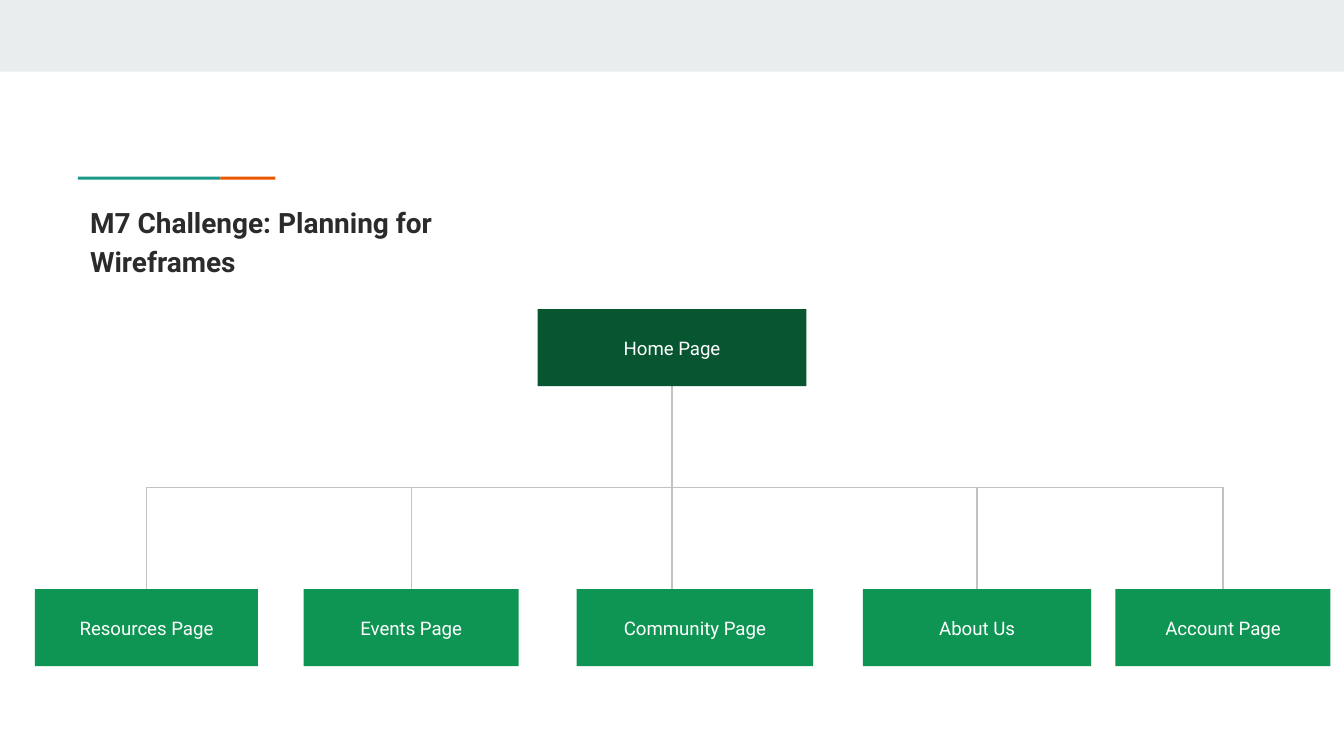
from dataclasses import dataclass

from lxml import etree
from pptx import Presentation
from pptx.dml.color import RGBColor
from pptx.enum.shapes import MSO_CONNECTOR, MSO_SHAPE
from pptx.enum.text import MSO_ANCHOR, MSO_AUTO_SIZE, PP_ALIGN
from pptx.oxml.ns import qn
from pptx.util import Inches, Pt

RECT = MSO_SHAPE.RECTANGLE
LINE, ELBOW = MSO_CONNECTOR.STRAIGHT, MSO_CONNECTOR.ELBOW
LEFT, MID = PP_ALIGN.LEFT, PP_ALIGN.CENTER
TOP, CENTER = MSO_ANCHOR.TOP, MSO_ANCHOR.MIDDLE


@dataclass(frozen=True)
class Theme:
    font: str = "Roboto"
    band: str = "E9EDEE"
    teal: str = "1A9988"
    orange: str = "EB5600"
    root: str = "085631"
    page: str = "0E9453"
    wire: str = "C2C2C2"
    ink: str = "2B2B2B"
    white: str = "FFFFFF"
    head: float = 15
    label: float = 10
    rule: float = 0.75


THEME = Theme()

# Grid: 100 columns by 56.25 rows (16:9), each a tenth of an inch
COLS, ROWS = 100, 56.25
BOX_H = 5.73
ROOT_X, ROOT_Y, ROOT_W = 40, 23, 20
PAGE_Y = 43.84
BUS_Y = (ROOT_Y + BOX_H + PAGE_Y) / 2
PAGES = [  # label, left column, width in columns
    ("Resources Page", 2.6, 16.6),
    ("Events Page", 22.6, 16),
    ("Community Page", 42.9, 17.6),
    ("About Us", 64.2, 17),
    ("Account Page", 83, 16),
]
BENT = ("Resources Page", "Events Page", "Account Page")


def cell(n):
    return Inches(n / 10)


def color(code):
    return RGBColor.from_string(code)


def write(shape, text, size, ink, bold=False, align=MID, anchor=CENTER, lead=1.0):
    frame = shape.text_frame
    frame.word_wrap = True
    frame.auto_size = MSO_AUTO_SIZE.NONE
    frame.vertical_anchor = anchor
    frame.margin_left = frame.margin_right = cell(1)
    frame.margin_top = frame.margin_bottom = cell(1)
    frame.text = text
    para = frame.paragraphs[0]
    para.alignment, para.line_spacing = align, lead
    para.space_before = Pt(0)
    font = para.runs[0].font
    font.name, font.size, font.bold = THEME.font, Pt(size), bold
    font.color.rgb = color(ink)


def block(slide, x, y, w, h, fill, text=None):
    shape = slide.shapes.add_shape(RECT, cell(x), cell(y), cell(w), cell(h))
    shape.shadow.inherit = False
    shape.fill.solid()
    shape.fill.fore_color.rgb = color(fill)
    shape.line.fill.background()
    if text:
        write(shape, text, THEME.label, THEME.white)


def wire(slide, kind, x1, y1, x2, y2):
    link = slide.shapes.add_connector(kind, cell(x1), cell(y1), cell(x2), cell(y2))
    link.line.color.rgb = color(THEME.wire)
    link.line.width = Pt(THEME.rule)
    etree.SubElement(link._element.spPr, qn("a:effectLst"))
    return link


def drop(slide, x1, y1, x2, y2):
    """Elbow that leaves downward: the sideways elbow turned by 90 degrees."""
    mid_x, mid_y = (x1 + x2) / 2, (y1 + y2) / 2
    run, fall = (x2 - x1) / 2, (y2 - y1) / 2
    link = wire(slide, ELBOW, mid_x - fall, mid_y + run, mid_x + fall, mid_y - run)
    link._element.spPr.find(qn("a:xfrm")).set("rot", "5400000")


def title(slide, text):
    shape = slide.shapes.title
    shape.left, shape.top = cell(5.7), cell(13.92)
    shape.width, shape.height = cell(35.2), cell(7.8)
    write(shape, text, THEME.head, THEME.ink, bold=True,
          align=LEFT, anchor=TOP, lead=1.15)


def sitemap(slide):
    # Wires go behind the boxes
    mid, base = ROOT_X + ROOT_W / 2, ROOT_Y + BOX_H
    for name, x, w in PAGES:
        end = x + w / 2
        if name in BENT:
            drop(slide, mid, base, end, PAGE_Y)
        else:
            top = mid if abs(end - mid) < 2 else end
            wire(slide, LINE, top, BUS_Y, top, PAGE_Y)
    # Home page and its children
    block(slide, ROOT_X, ROOT_Y, ROOT_W, BOX_H, THEME.root, "Home Page")
    for name, x, w in PAGES:
        block(slide, x, PAGE_Y, w, BOX_H, THEME.page, name)


def main():
    deck = Presentation()
    deck.slide_width, deck.slide_height = cell(COLS), cell(ROWS)
    slide = deck.slides.add_slide(deck.slide_layouts[5])
    # Top band and accent rule
    block(slide, 0, 0, COLS, 5.33, THEME.band)
    block(slide, 5.8, 13.15, 10.6, 0.22, THEME.teal)
    block(slide, 16.4, 13.15, 4.1, 0.22, THEME.orange)
    title(slide, "M7 Challenge: Planning for Wireframes")
    sitemap(slide)
    deck.save("out.pptx")


if __name__ == "__main__":
    main()
